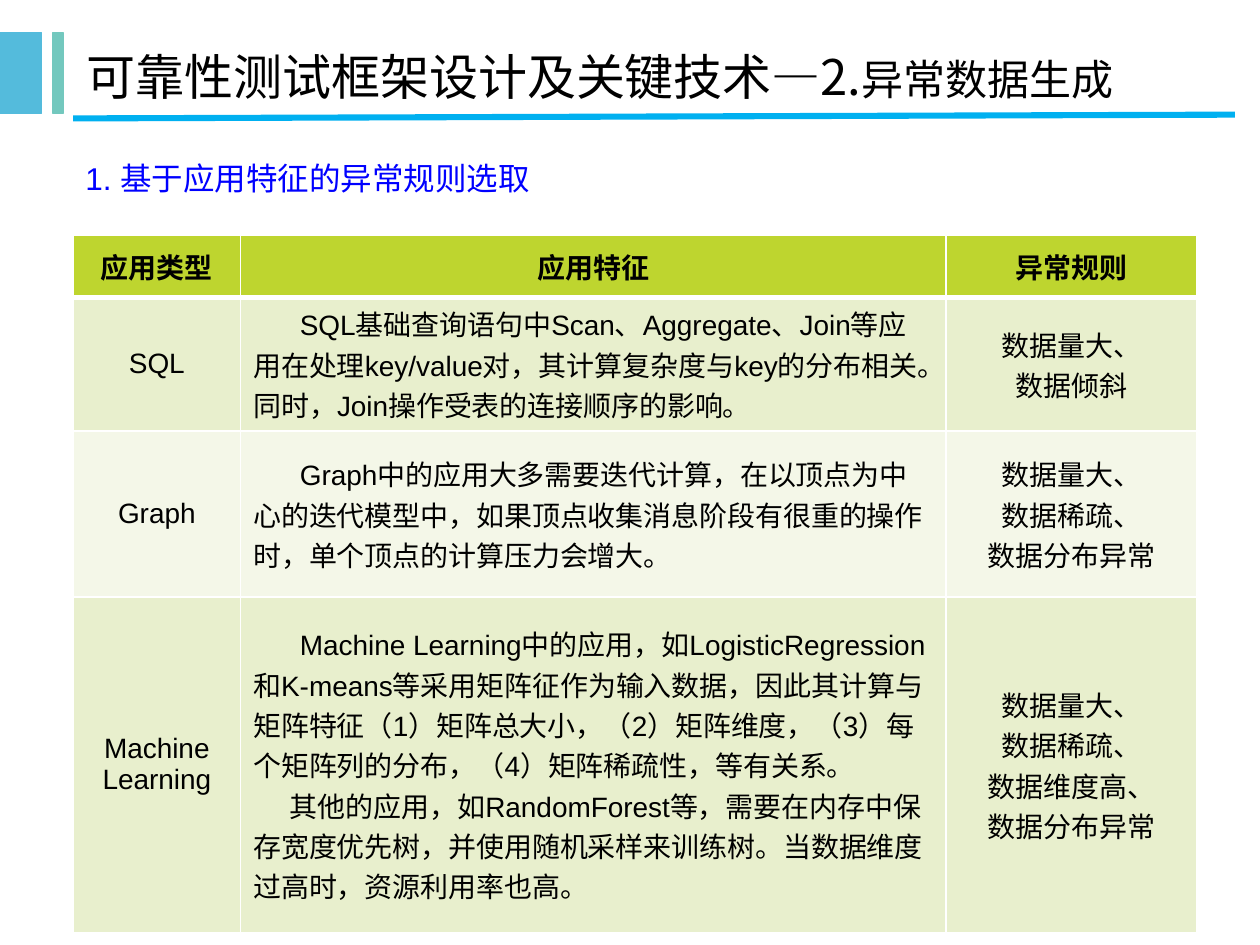
import pptx
import pptx.util
import pptx.dml.color
import pptx.enum.shapes
import pptx.enum.text
import pptx.oxml.ns
from lxml import etree

Inches = pptx.util.Inches
Pt = pptx.util.Pt
ALIGN = pptx.enum.text.PP_ALIGN
ANCHOR = pptx.enum.text.MSO_ANCHOR
qn = pptx.oxml.ns.qn

LATIN, CJK = "Arial", "Noto Sans CJK SC"
COLORS = {
    "text": "000000", "heading": "0000FF", "rule": "00B0F0",
    "blue": "54BBDC", "teal": "73C8BE", "border": "FFFFFF",
    "header": "BED52F", "odd": "E8EFCD", "even": "F4F7E8",
}

COL_WIDTHS = [1.33, 5.6, 1.99]
ROW_HEIGHTS = [0.49, 1.06, 1.32, 2.66]
HEADER = ["应用类型", "应用特征", "异常规则"]
# Application type, feature paragraphs as (first-line indent, text), rules
ROWS = [
    ("SQL",
     [(0.37, "SQL基础查询语句中Scan、Aggregate、Join等应用在处理key/value对，"
             "其计算复杂度与key的分布相关。同时，Join操作受表的连接顺序的影响。")],
     ["数据量大、", "数据倾斜"]),
    ("Graph",
     [(0.37, "Graph中的应用大多需要迭代计算，在以顶点为中心的迭代模型中，"
             "如果顶点收集消息阶段有很重的操作时，单个顶点的计算压力会增大。")],
     ["数据量大、", "数据稀疏、", "数据分布异常"]),
    ("Machine Learning",
     [(0.37, "Machine Learning中的应用，如LogisticRegression和K-means等采用矩阵征作为输入数据，"
             "因此其计算与矩阵特征（1）矩阵总大小，（2）矩阵维度，（3）每个矩阵列的分布，"
             "（4）矩阵稀疏性，等有关系。"),
      (0.29, "其他的应用，如RandomForest等，需要在内存中保存宽度优先树，"
             "并使用随机采样来训练树。当数据维度过高时，资源利用率也高。")],
     ["数据量大、", "数据稀疏、", "数据维度高、", "数据分布异常"]),
]


def rgb(name):
    return pptx.dml.color.RGBColor.from_string(COLORS[name])


def add_run(p, text, size, color="text", font=LATIN, bold=False):
    r = p.add_run()
    r.text = text
    r.font.size = Pt(size)
    r.font.bold = bold
    r.font.color.rgb = rgb(color)
    r.font.name = font
    etree.SubElement(r.font._element, qn("a:ea"), typeface=CJK)


def add_bar(s, left, width, color):
    sp = s.shapes.add_shape(pptx.enum.shapes.MSO_SHAPE.RECTANGLE,
                            Inches(left), Inches(0.26), Inches(width), Inches(0.64))
    sp.shadow.inherit = False
    sp.fill.solid()
    sp.fill.fore_color.rgb = rgb(color)
    sp.line.color.rgb = rgb(color)
    sp.line.width = Pt(0.75)


def add_rule(s, x1, y1, x2, y2):
    c = s.shapes.add_connector(pptx.enum.shapes.MSO_CONNECTOR.STRAIGHT,
                               Inches(x1), Inches(y1), Inches(x2), Inches(y2))
    c.line.color.rgb = rgb("rule")
    c.line.width = Pt(3.5)
    etree.SubElement(c._element.spPr, qn("a:effectLst"))


def add_text(s, left, top, width, height, anchor):
    tf = s.shapes.add_textbox(Inches(left), Inches(top), Inches(width), Inches(height)).text_frame
    tf.word_wrap = True
    tf.vertical_anchor = anchor
    return tf.paragraphs[0]


def set_borders(cell, bottom):
    tcPr = cell._tc.get_or_add_tcPr()
    for i, (side, width) in enumerate([("L", 1), ("R", 1), ("T", 1), ("B", bottom)]):
        ln = etree.Element(qn("a:ln" + side), w=str(Pt(width)))
        fill = etree.SubElement(ln, qn("a:solidFill"))
        etree.SubElement(fill, qn("a:srgbClr"), val=COLORS["border"])
        tcPr.insert(i, ln)


def fill_cell(cell, paragraphs, fill, align=ALIGN.CENTER, bold=False, bottom=1):
    cell.fill.solid()
    cell.fill.fore_color.rgb = rgb(fill)
    cell.vertical_anchor = ANCHOR.MIDDLE
    set_borders(cell, bottom)
    tf = cell.text_frame
    for i, (indent, text) in enumerate(paragraphs):
        p = tf.add_paragraph() if i else tf.paragraphs[0]
        p.alignment = align
        if indent:
            p._p.get_or_add_pPr().set("indent", str(Inches(indent)))
        add_run(p, text, 16, bold=bold)


def add_rules_table(s):
    table = s.shapes.add_table(len(ROW_HEIGHTS), len(COL_WIDTHS), Inches(0.58), Inches(1.87),
                               Inches(sum(COL_WIDTHS)), Inches(sum(ROW_HEIGHTS))).table
    for col, width in zip(table.columns, COL_WIDTHS):
        col.width = Inches(width)
    for row, height in zip(table.rows, ROW_HEIGHTS):
        row.height = Inches(height)
    for j, text in enumerate(HEADER):
        fill_cell(table.cell(0, j), [(0, text)], "header", bold=True, bottom=3)
    for i, (kind, features, rules) in enumerate(ROWS, 1):
        fill = "odd" if i % 2 else "even"
        fill_cell(table.cell(i, 0), [(0, kind)], fill)
        fill_cell(table.cell(i, 1), features, fill, align=ALIGN.LEFT)
        fill_cell(table.cell(i, 2), [(0, rule) for rule in rules], fill)


def main():
    prs = pptx.Presentation()
    prs.slide_width, prs.slide_height = Inches(10), Inches(7.5)
    s = prs.slides.add_slide(prs.slide_layouts[6])

    # Side bars
    add_bar(s, 0, 0.33, "blue")
    add_bar(s, 0.42, 0.08, "teal")

    # Title and underline
    p = add_text(s, 0.59, 0.26, 8.91, 0.69, ANCHOR.MIDDLE)
    add_run(p, "可靠性测试框架设计及关键技术—2.", 28, font=CJK)
    add_run(p, "异常数据生成", 24, font=CJK)
    add_rule(s, 0.58, 0.94, 9.8, 0.91)

    # Table of rules by application type
    add_rules_table(s)

    # Section heading
    p = add_text(s, 0.58, 1.21, 8.92, 0.4, ANCHOR.TOP)
    add_run(p, "1. 基于应用特征的异常规则选取", 18, "heading")

    prs.save("out.pptx")


if __name__ == "__main__":
    main()
